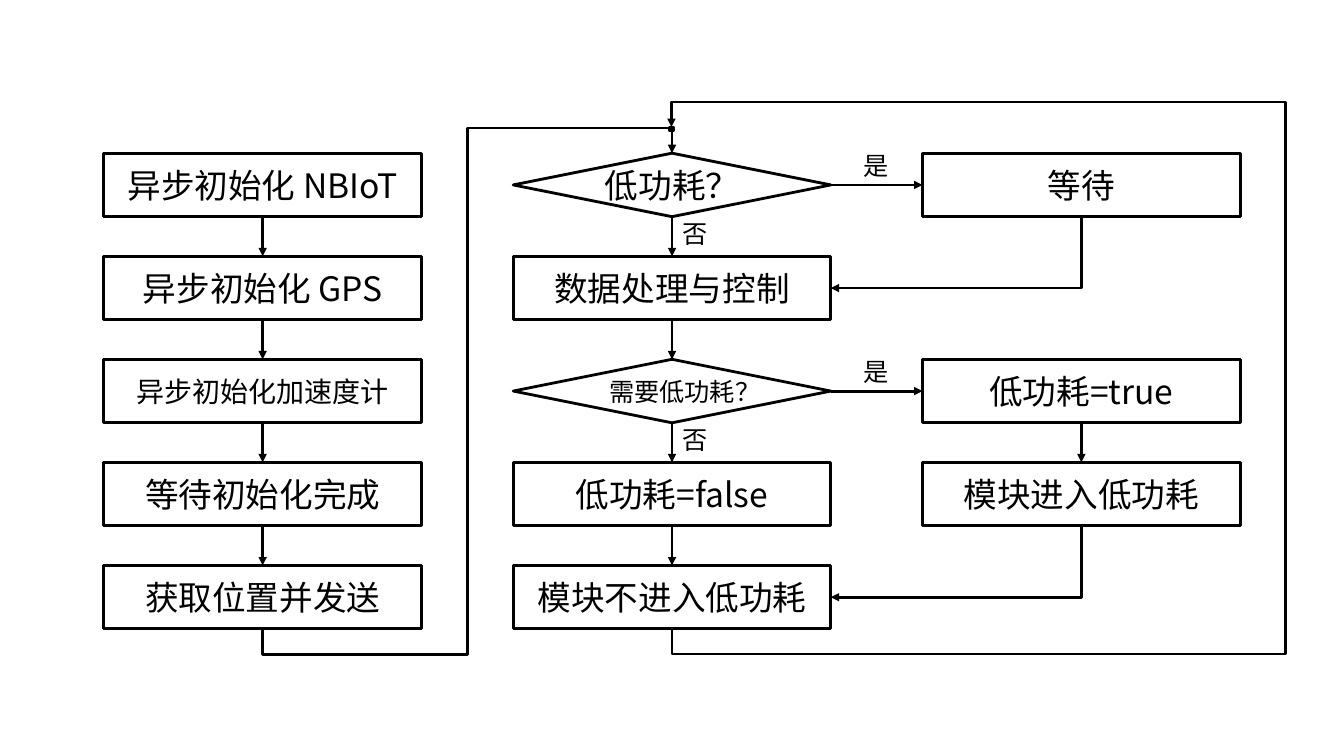
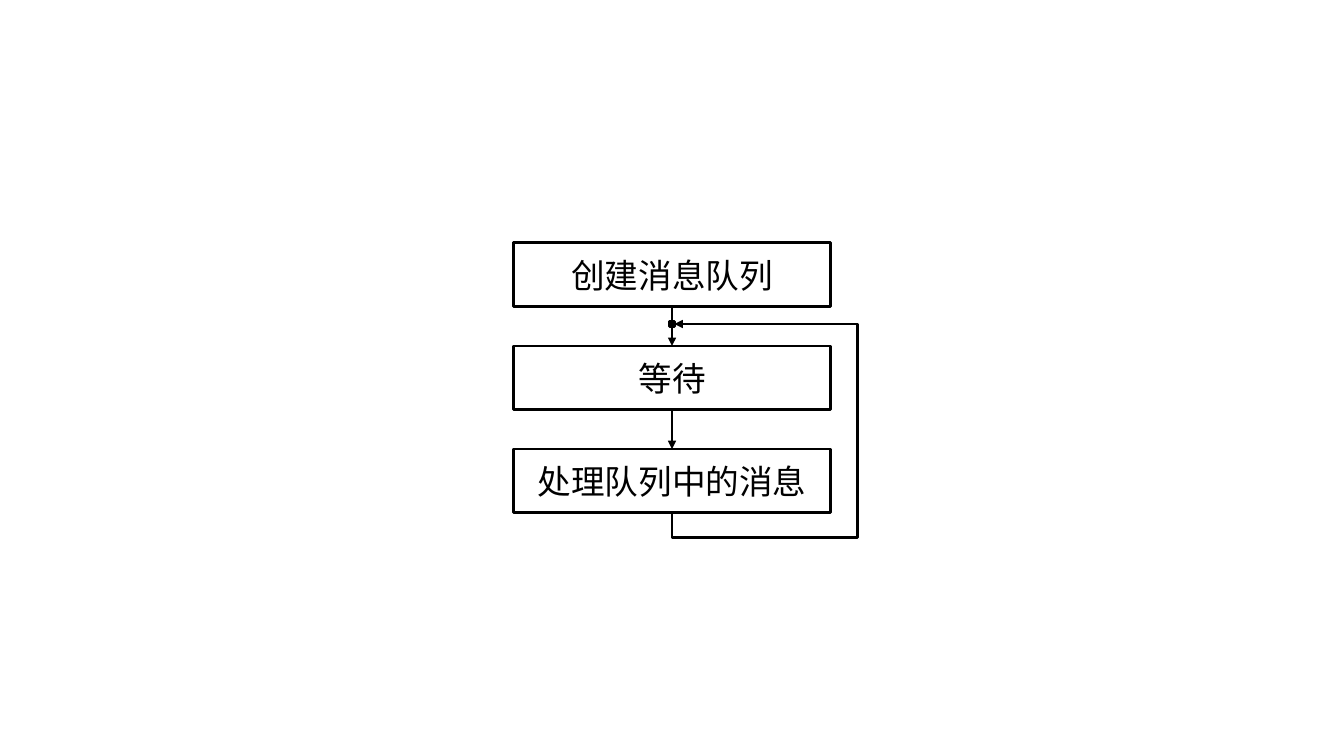
from pptx import Presentation
from pptx.dml.color import RGBColor
from pptx.enum.shapes import MSO_CONNECTOR, MSO_SHAPE
from pptx.enum.text import MSO_ANCHOR, MSO_AUTO_SIZE, PP_ALIGN
from pptx.oxml.ns import qn
from pptx.util import Inches, Pt
from lxml.etree import SubElement

INK = {"line": "000000", "text": "000000", "dot": "000000"}
FONT = "Noto Sans CJK SC"
WIDE, HIGH = 3.15, 0.63
LEFT, STEP = 1.03, 4.06
PITCH = (5.61 - 1.52) / 4
BEND = 0.25
TOP, WEST, BASE, EAST = range(4)
RECT, ASK = MSO_SHAPE.RECTANGLE, MSO_SHAPE.FLOWCHART_DECISION

MAIN = {
    "top": 1.52,
    "boxes": {
        (0, 0): ("异步初始化 NBIoT", 24, RECT),
        (0, 1): ("异步初始化 GPS", 24, RECT),
        (0, 2): ("异步初始化加速度计", 20, RECT),
        (0, 3): ("等待初始化完成", 24, RECT),
        (0, 4): ("获取位置并发送", 24, RECT),
        (1, 0): ("低功耗？", 24, ASK),
        (1, 1): ("数据处理与控制", 24, RECT),
        (1, 2): ("需要低功耗？", 18, ASK),
        (1, 3): ("低功耗=false", 24, RECT),
        (1, 4): ("模块不进入低功耗", 24, RECT),
        (2, 0): ("等待", 24, RECT),
        (2, 2): ("低功耗=true", 24, RECT),
        (2, 3): ("模块进入低功耗", 24, RECT),
    },
    "dot": (6.64, 1.26, 0.04),
    "down": [(0, 0), (0, 1), (0, 2), (0, 3), (1, 0), (1, 1), (1, 2), (1, 3), (2, 2)],
    "across": [(1, 0), (1, 2)],
    "back": [((2, 0), (1, 1)), ((2, 3), (1, 4))],
    "loops": [((0, 4), (1, 0), TOP, 4.64), ((1, 4), "dot", TOP, 12.61)],
    "asks": [0, 2],
}
QUEUE = {
    "top": 2.41,
    "boxes": {
        (1, 0): ("创建消息队列", 24, RECT),
        (1, 1): ("等待", 24, RECT),
        (1, 2): ("处理队列中的消息", 24, RECT),
    },
    "dot": (6.64, 3.19, 0.05),
    "down": [(1, 0), (1, 1)],
    "across": [],
    "back": [],
    "loops": [((1, 2), "dot", EAST, 8.49)],
    "asks": [],
}


def tint(name):
    return RGBColor.from_string(INK[name])


def write(shape, text, size=24, align=PP_ALIGN.CENTER, wrap=True):
    frame = shape.text_frame
    frame.word_wrap = wrap
    para = frame.paragraphs[0]
    para.alignment = align
    run = para.add_run()
    run.text = text
    run.font.size = Pt(size)
    run.font.name = FONT
    run.font.color.rgb = tint("text")
    SubElement(run.font._element, qn("a:ea"), typeface=FONT)


def ink(shape):
    shape.line.color.rgb = tint("line")
    shape.line.width = Pt(2)


def block(slide, kind, x, y, wide, high):
    shape = slide.shapes.add_shape(kind, Inches(x), Inches(y), Inches(wide), Inches(high))
    shape.shadow.inherit = False
    shape.fill.background()
    ink(shape)
    return shape


def label(slide, text, x, y):
    box = slide.shapes.add_textbox(Inches(x), Inches(y), Inches(0.45), Inches(0.4))
    write(box, text, size=18, align=PP_ALIGN.LEFT, wrap=False)
    box.text_frame.auto_size = MSO_AUTO_SIZE.SHAPE_TO_FIT_TEXT


def join(slide, start, side, end, port, kind=MSO_CONNECTOR.STRAIGHT):
    wire = slide.shapes.add_connector(kind, 0, 0, 0, 0)
    wire.begin_connect(start, side)
    wire.end_connect(end, port)
    ink(wire)
    SubElement(wire.line._get_or_add_ln(), qn("a:tailEnd"), type="triangle")
    SubElement(wire._element.spPr, qn("a:effectLst"))
    return wire


def bend(slide, start, end, port, lane=None):
    wire = join(slide, start, BASE, end, port, MSO_CONNECTOR.ELBOW)
    x, y = wire.begin_x, wire.begin_y
    across, down = wire.end_x - x, wire.end_y - y
    turns = []
    if lane is not None:
        turns = [Inches(BEND) / down, (Inches(lane) - x) / across]
        if port == TOP:
            turns.append(1 - Inches(BEND) / down)
    long, short = abs(down), abs(across)
    wire.left, wire.top = x + (across - long) // 2, y + (down - short) // 2
    wire.width, wire.height = long, short
    props = wire._element.spPr
    frame = props.find(qn("a:xfrm"))
    frame.set("rot", str(90 * 60000))
    frame.set("flipH", str(int(down < 0)))
    frame.set("flipV", str(int(across > 0)))
    shape = props.find(qn("a:prstGeom"))
    shape.set("prst", f"bentConnector{2 + len(turns)}")
    guides = shape.find(qn("a:avLst"))
    for n, turn in enumerate(turns, 1):
        SubElement(guides, qn("a:gd"), name=f"adj{n}", fmla=f"val {round(turn * 100000)}")


def draw(deck, chart):
    slide = deck.slides.add_slide(deck.slide_layouts[6])
    nodes = {}
    for (col, row), (text, size, kind) in chart["boxes"].items():
        box = block(slide, kind, LEFT + col * STEP, chart["top"] + row * PITCH, WIDE, HIGH)
        box.text_frame.vertical_anchor = MSO_ANCHOR.MIDDLE
        write(box, text, size=size)
        nodes[col, row] = box
    x, y, side = chart["dot"]
    dot = nodes["dot"] = block(slide, RECT, x, y, side, side)
    dot.fill.solid()
    dot.fill.fore_color.rgb = tint("dot")
    for col, row in chart["down"]:
        join(slide, nodes[col, row], BASE, nodes[col, row + 1], TOP)
    for col, row in chart["across"]:
        join(slide, nodes[col, row], EAST, nodes[col + 1, row], WEST)
    for start, end in chart["back"]:
        bend(slide, nodes[start], nodes[end], EAST)
    for start, end, port, lane in chart["loops"]:
        bend(slide, nodes[start], nodes[end], port, lane)
    for row in chart["asks"]:
        y = chart["top"] + row * PITCH
        label(slide, "是", 8.47, y - 0.08)
        label(slide, "否", 6.67, y + 0.6)


deck = Presentation()
deck.slide_width, deck.slide_height = Inches(13.33), Inches(7.5)
for chart in (MAIN, QUEUE):
    draw(deck, chart)
deck.save("out.pptx")
